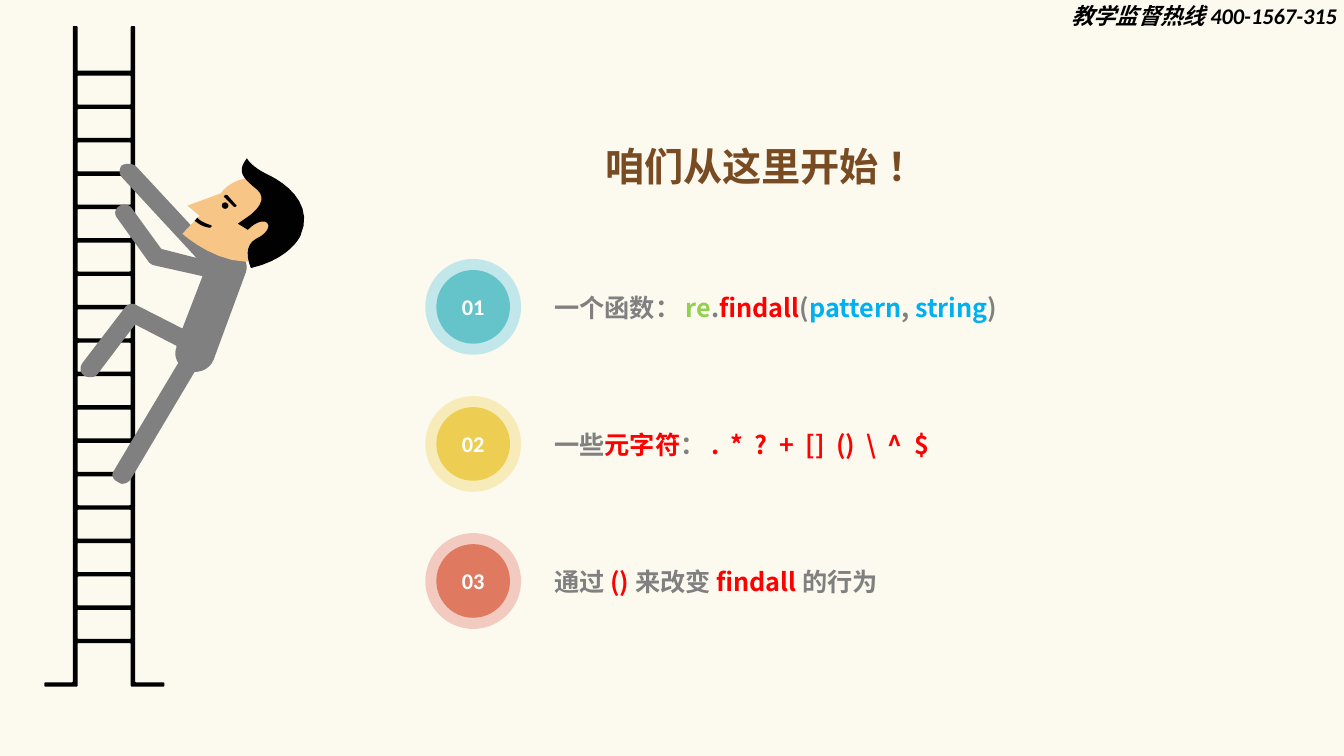
from dataclasses import dataclass

from lxml import etree
from pptx import Presentation
from pptx.dml.color import RGBColor
from pptx.enum import shapes, text
from pptx.oxml.ns import qn
from pptx.util import Pt

Point = tuple[float, float]
Step = tuple[float, ...]  # two numbers: straight line, six numbers: Bezier curve

CALIBRI, NOTO = "Calibri", "Noto Sans CJK SC"
INK, GREY, SKIN = "010101", "808080", "F7C586"
RED, GREEN, BLUE = "FF0000", "92D050", "00B0F0"


@dataclass
class Words:
    text: str
    color: str = GREY


@dataclass
class Topic:
    number: str
    halo: str
    core: str
    width: float
    words: list[Words]


@dataclass
class Part:
    color: str
    start: Point
    steps: list[Step]


TOPICS = [
    Topic("01", "C1E7EA", "65C4CA", 358, [
        Words("一个函数： "), Words("re", GREEN), Words("."), Words("findall", RED), Words("("),
        Words("pattern", BLUE), Words(", "), Words("string", BLUE), Words(")")]),
    Topic("02", "F8EBBA", "EECE52", 348, [
        Words("一些"), Words("元字符", RED), Words("： "),
        Words(".  *  ?  +  []  ()  \\  ^  $", RED)]),
    Topic("03", "F2CABF", "DF7A60", 274, [
        Words("通过 "), Words("() ", RED), Words("来改变 "), Words("findall ", RED),
        Words("的行为")]),
]

BODY = Part(GREY, (166.3, 177.8), [
    (162, 176.4, 157, 177.8, 153.4, 179.3), (97.2, 118.8),
    (94.3, 116.6, 90, 116.6, 87.1, 118.1), (85, 120.2, 85, 124.6, 87.1, 126.7),
    (140.4, 184.3), (115.2, 177.8), (94.3, 149),
    (92.9, 146.2, 88.6, 145.4, 85.7, 146.9), (82.1, 149, 81.4, 152.6, 83.5, 155.5),
    (105.8, 186.5), (106.6, 187.9, 108, 188.6, 109.4, 189.4),
    (144.7, 197.3), (130.3, 234.7), (97.9, 218.2),
    (95, 216, 90.7, 217.4, 89.3, 219.6), (59, 259.2),
    (56.9, 262.1, 56.9, 266.4, 60.5, 268.6), (63.4, 270, 67.7, 270, 69.8, 267.1),
    (96.5, 231.8), (126, 247), (126, 248.4),
    (124.6, 252, 125.3, 256.3, 127.4, 259.2), (81.4, 336.2),
    (79.2, 339.1, 80.6, 342.7, 84.2, 344.2), (85, 344.9, 86.4, 345.6, 87.1, 345.6),
    (90, 345.6, 92.2, 344.2, 93.6, 342), (139, 265.7),
    (145.4, 265.7, 150.5, 262.1, 152.6, 257), (175.7, 194.4),
    (177.8, 187.9, 173.5, 180, 166.3, 177.8)])
HEAD = Part(SKIN, (157.7, 138.2), [
    (158.4, 137.5, 159.1, 136.8, 159.1, 136.1), (170.6, 124.6, 188.6, 123.8, 200.9, 133.9),
    (216, 146.2, 216, 162.7, 205.9, 174.2), (174.2, 206.6, 130.3, 167, 130.3, 167),
    (142.6, 154.1), (133.9, 146.9)])
HAIR = Part(INK, (177.1, 154.8), [
    (177.1, 154.8, 193.7, 144, 183.6, 135.4), (172.8, 126.7, 169.2, 122.4, 176.4, 113),
    (176.4, 113, 178.6, 118.1, 189.4, 123.8), (200.9, 128.9, 225.4, 144, 214.6, 168.5),
    (214.6, 168.5, 207.4, 185, 179.3, 191.5), (179.3, 191.5, 172.1, 176.4, 182.9, 170.6),
    (192.2, 166.3, 193.7, 159.8, 189.4, 158.4), (183.6, 157, 177.1, 164.2, 177.1, 164.2),
    (169.9, 159.8)])
BROW = Part(INK, (160.6, 139.7), [
    (159.8, 139.7, 159.8, 141.1, 160.6, 141.1), (167, 147.6),
    (167.8, 148, 168.5, 147.6, 168.5, 147.6), (169.2, 146.9, 169.2, 146.2, 168.5, 146.2),
    (162.7, 139.7), (161.9, 139, 161.3, 139, 160.6, 139.7)])
MOUTH = Part(INK, (151.2, 161.3), [
    (151.2, 161.3, 150.5, 160.6, 149.8, 160.6), (145.4, 159.1, 141.8, 157, 141.1, 155.5),
    (139, 157.7), (141.8, 159.8, 144.7, 162, 149.8, 162.7),
    (150.5, 162.7, 151.2, 162, 151.2, 161.3)])

deck = Presentation()
deck.slide_width, deck.slide_height = Pt(960), Pt(540)
slide = deck.slides.add_slide(deck.slide_layouts[6])


def rgb(color: str) -> RGBColor:
    return RGBColor.from_string(color)


def paint(shape, color: str) -> None:
    shape.shadow.inherit = False
    shape.fill.solid()
    shape.fill.fore_color.rgb = rgb(color)
    shape.line.fill.background()


def curve(begin: Point, step: Step, pieces: int = 10) -> list[Point]:
    """Points along a line or a cubic Bezier, without its beginning."""
    if len(step) == 2:
        return [(step[0], step[1])]
    knots = [begin, step[0:2], step[2:4], step[4:6]]
    points = []
    for i in range(1, pieces + 1):
        t = i / pieces
        weights = ((1 - t) ** 3, 3 * t * (1 - t) ** 2, 3 * t * t * (1 - t), t ** 3)
        points.append(tuple(sum(w * k[axis] for w, k in zip(weights, knots)) for axis in (0, 1)))
    return points


def rounded(corners: list[Point], radius: float = 1.4) -> list[Point]:
    """Outline of a right-angled polygon with softened corners."""
    outline = []
    for i, corner in enumerate(corners):
        ends = []
        for other in (corners[i - 1], corners[(i + 1) % len(corners)]):
            dx, dy = other[0] - corner[0], other[1] - corner[1]
            share = radius / (abs(dx) + abs(dy))
            ends.append((corner[0] + dx * share, corner[1] + dy * share))
        outline += [ends[0], *curve(ends[0], (*corner, *corner, *ends[1]), 4)]
    return outline


def add_outline(contours: list[list[Point]], color: str) -> None:
    emu = [[(Pt(x), Pt(y)) for x, y in contour] for contour in contours]
    builder = slide.shapes.build_freeform(*emu[0][0], scale=1.0)
    for i, contour in enumerate(emu):
        if i:
            builder.move_to(*contour[0])
        builder.add_line_segments(contour[1:], close=True)
    paint(builder.convert_to_shape(), color)


def add_part(part: Part) -> None:
    points = [part.start]
    for step in part.steps:
        points += curve(points[-1], step)
    add_outline([points], part.color)


def add_disc(left: float, top: float, width: float, height: float, color: str):
    disc = slide.shapes.add_shape(shapes.MSO_SHAPE.OVAL, Pt(left), Pt(top), Pt(width), Pt(height))
    paint(disc, color)
    return disc


def write(frame, words: list[Words], size: float, face: str, centred: bool = False):
    line = frame.paragraphs[0]
    line.alignment = text.PP_ALIGN.CENTER if centred else text.PP_ALIGN.LEFT
    for piece in words:
        run = line.add_run()
        run.text = piece.text
        run.font.size, run.font.bold, run.font.name = Pt(size), True, face
        run.font.color.rgb = rgb(piece.color)
        etree.SubElement(run.font._element, qn("a:ea"), typeface=NOTO)
    return line


def add_label(left: float, top: float, width: float, height: float, words: list[Words],
              size: float, face: str = NOTO, centred: bool = False):
    box = slide.shapes.add_textbox(Pt(left), Pt(top), Pt(width), Pt(height))
    box.text_frame.word_wrap = True
    return write(box.text_frame, words, size, face, centred)


# Background and hotline
slide.background.fill.solid()
slide.background.fill.fore_color.rgb = rgb("FCF9EF")
hotline = add_label(758, 0, 207.4, 28, [Words("教学监督热线 400-1567-315", "000000")], 16, CALIBRI)
hotline.line_spacing = 0.9
hotline.runs[0].font.italic = True

# Ladder: rails with feet, and evenly spaced gaps between the rungs
RAIL_L, INNER_L, INNER_R, RAIL_R = 52, 55.4, 93.4, 96.6
LADDER_TOP, FLOOR, FOOT = 18.7, 490.4, 487.4
FIRST_GAP, GAP_PITCH, GAP_HEIGHT, GAPS = 54, 23.85, 20.7, 17
frame_outline = [
    (RAIL_L, LADDER_TOP), (INNER_L, LADDER_TOP), (INNER_L, 50.5), (INNER_R, 50.5),
    (INNER_R, LADDER_TOP), (RAIL_R, LADDER_TOP), (RAIL_R, FOOT), (117.4, FOOT),
    (117.4, FLOOR), (INNER_R, FLOOR), (INNER_R, 459.4), (INNER_L, 459.4),
    (INNER_L, FLOOR), (31.7, FLOOR), (31.7, FOOT), (RAIL_L, FOOT)]
gap_tops = [FIRST_GAP + GAP_PITCH * i for i in range(GAPS)]
gap_outlines = [[(INNER_L, y), (INNER_L, y + GAP_HEIGHT), (INNER_R, y + GAP_HEIGHT), (INNER_R, y)]
                for y in gap_tops]
add_outline([rounded(outline) for outline in [frame_outline, *gap_outlines]], INK)

# Climber
for climber_part in (BODY, HEAD, HAIR, BROW, MOUTH):
    add_part(climber_part)
add_disc(158.4, 144.6, 4.8, 4.6, INK)

# Heading
add_label(388.8, 98, 316.8, 41, [Words("咱们从这里开始 ！", "784B23")], 28, centred=True)

# Numbered topics
HALO, CORE, TOPIC_PITCH = 68.4, 52.6, 97.9
for row, topic in enumerate(TOPICS):
    top = 185 + row * TOPIC_PITCH
    inset = (HALO - CORE) / 2
    add_disc(303.8, top, HALO, HALO, topic.halo)
    badge = add_disc(303.8 + inset, top + inset, CORE, CORE, topic.core).text_frame
    badge.vertical_anchor = text.MSO_ANCHOR.MIDDLE
    write(badge, [Words(topic.number, "FFFFFF")], 16, CALIBRI, centred=True)
    add_label(388.8, top + 20.2, topic.width, 28.8, topic.words, 18)

deck.save("out.pptx")
